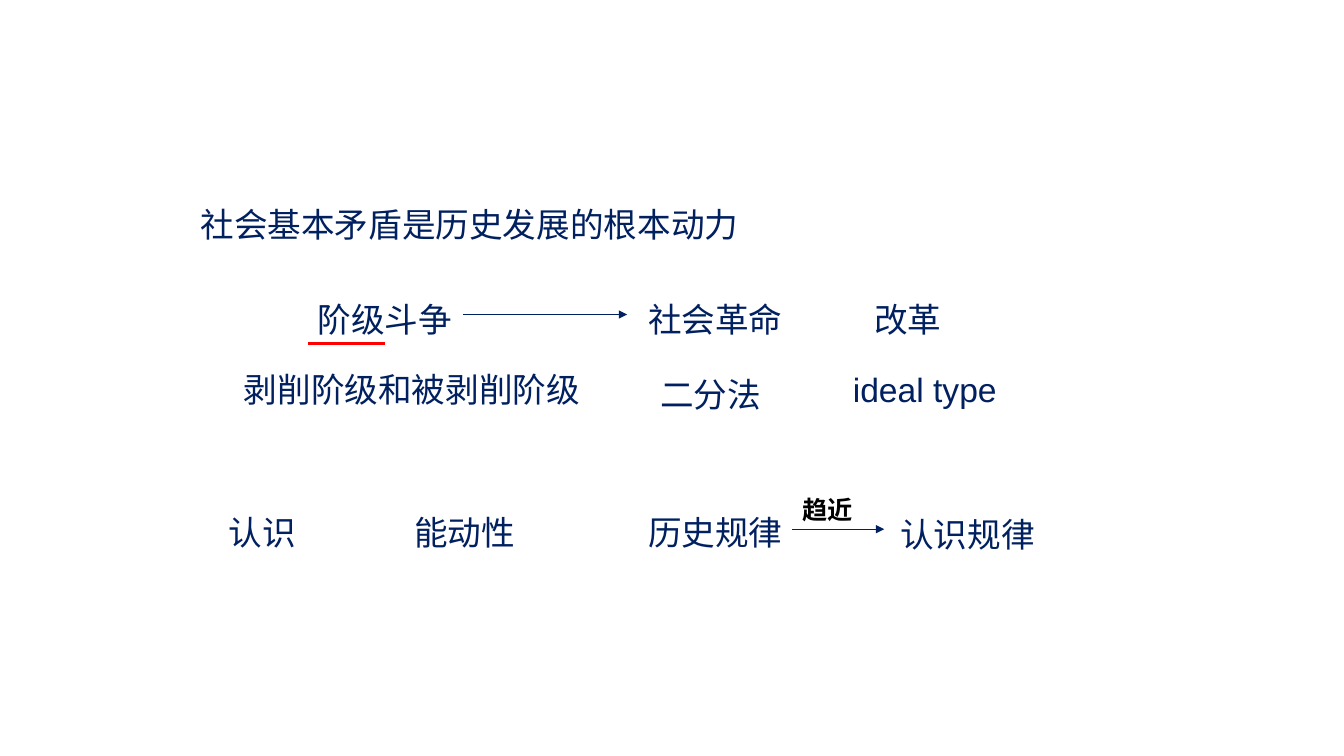
from lxml import etree
from pptx import Presentation
from pptx.dml.color import RGBColor
from pptx.enum.shapes import MSO_CONNECTOR
from pptx.enum.text import MSO_AUTO_SIZE, PP_ALIGN
from pptx.oxml.ns import qn
from pptx.util import Inches, Pt

STRAIGHT = MSO_CONNECTOR.STRAIGHT
GROW, FIXED = MSO_AUTO_SIZE.SHAPE_TO_FIT_TEXT, MSO_AUTO_SIZE.NONE
JUSTIFY = PP_ALIGN.JUSTIFY
FONT = "Arial"
COLORS = {"navy": "002060", "red": "FF0000", "black": "000000"}

TITLE = ("社会基本矛盾是历史发展的根本动力", 1.89, 1.89)
# text, left, top
TERMS = [
    ("阶级斗争", 3.05, 2.84),
    ("社会革命", 6.33, 2.84),
    ("改革", 8.57, 2.84),
    ("剥削阶级和被剥削阶级", 2.32, 3.53),
    ("二分法", 6.45, 3.58),
    ("ideal type", 8.36, 3.53),
    ("认识", 2.17, 4.95),
    ("能动性", 4.01, 4.95),
    ("历史规律", 6.33, 4.95),
    ("认识规律", 8.83, 4.97),
]
LABEL = ("趋近", 7.86, 4.85)
# start, end, height on the slide, colour, weight, arrowhead
LINES = [
    (4.59, 6.22, 3.12, "navy", 0.5, True),
    (3.05, 3.82, 3.41, "red", 2.25, False),
    (7.86, 8.77, 5.25, "navy", 0.5, True),
]


def add_text(slide, item, width, height, size, color, bold=False):
    text, left, top = item
    box = slide.shapes.add_textbox(*map(Inches, (left, top, width, height)))
    frame = box.text_frame
    frame.word_wrap = True
    frame.auto_size = FIXED
    run = frame.paragraphs[0].add_run()
    run.text = text
    font = run.font
    font.name, font.size, font.bold = FONT, Pt(size), bold
    font.color.rgb = RGBColor.from_string(COLORS[color])
    return frame


def add_term(slide, item, width):
    frame = add_text(slide, item, width, 0.54, 24, "navy")
    frame.auto_size = GROW
    para = frame.paragraphs[0]
    para.alignment = JUSTIFY
    para.line_spacing = 1.2
    para.space_before = Pt(14)


def add_line(slide, start, end, y, color, weight, arrow):
    link = slide.shapes.add_connector(
        STRAIGHT, Inches(start), Inches(y), Inches(end), Inches(y))
    link.line.width = Pt(weight)
    link.line.color.rgb = RGBColor.from_string(COLORS[color])
    if arrow:
        etree.SubElement(link.line._get_or_add_ln(), qn("a:tailEnd"), type="triangle")
    etree.SubElement(link._element.spPr, qn("a:effectLst"))


def main():
    prs = Presentation()
    prs.slide_width, prs.slide_height = Inches(13.33), Inches(7.5)
    slide = prs.slides.add_slide(prs.slide_layouts[6])
    add_term(slide, TITLE, 7.19)
    for term in TERMS:
        add_term(slide, term, 4.88)
    for line in LINES:
        add_line(slide, *line)
    add_text(slide, LABEL, 1.34, 0.4, 18, "black", bold=True)
    prs.save("out.pptx")


if __name__ == "__main__":
    main()
